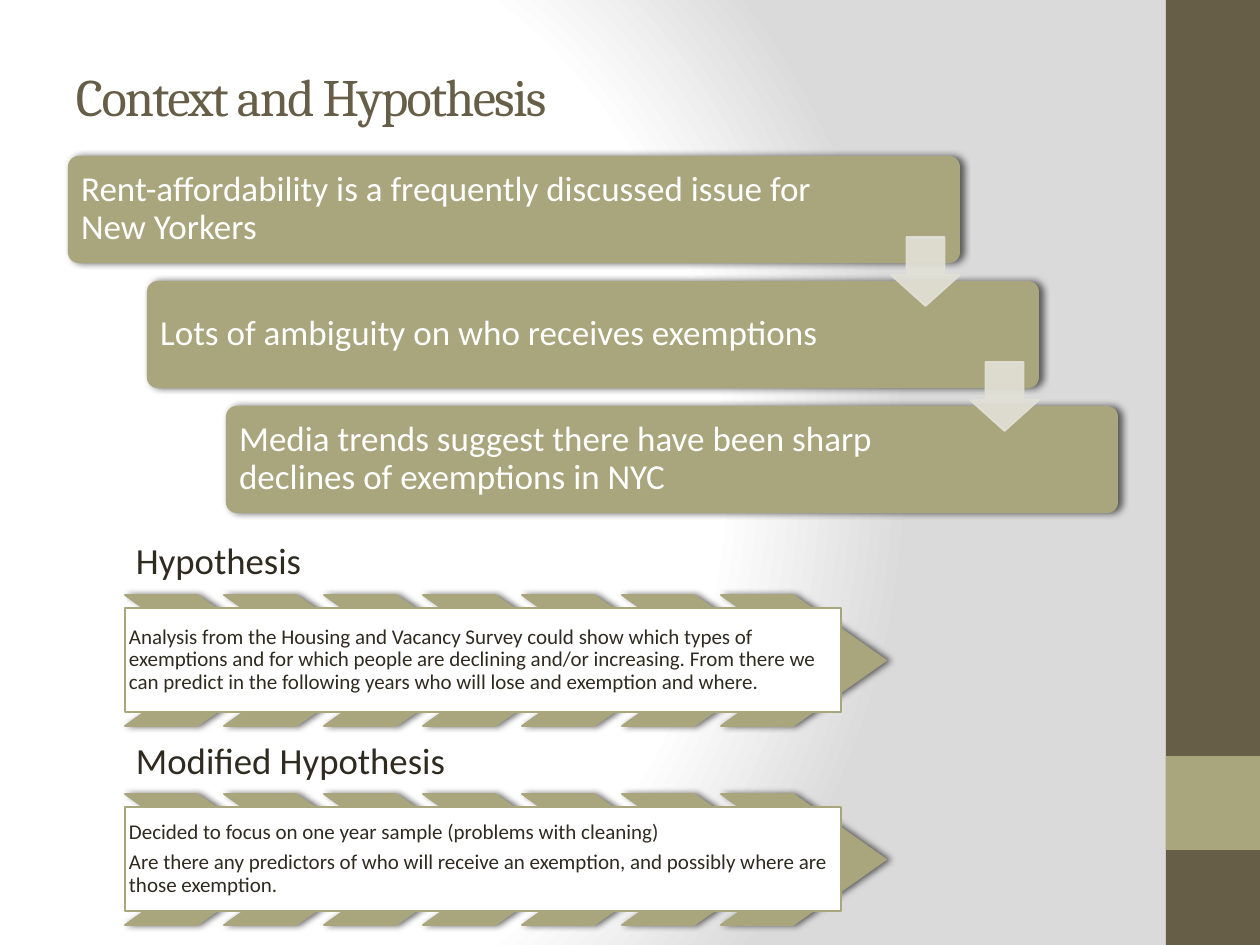
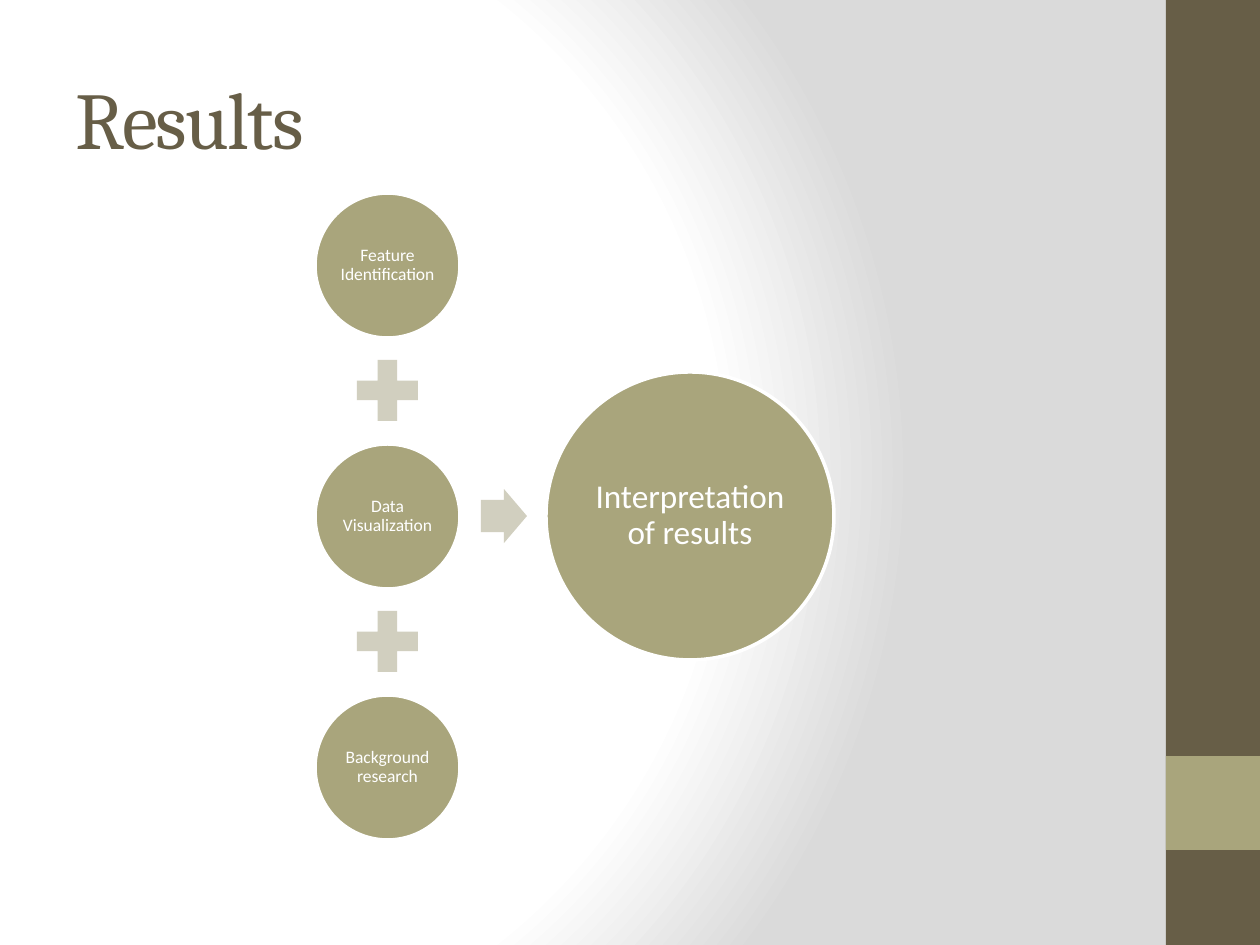
import pptx
import pptx.util
from pptx.dml.color import RGBColor
from pptx.enum.shapes import MSO_SHAPE
from pptx.enum.text import MSO_ANCHOR, PP_ALIGN
from pptx.oxml import parse_xml
from pptx.oxml.ns import qn
from lxml import etree

BROWN = RGBColor(0x67, 0x5E, 0x47)
OLIVE = RGBColor(0xA9, 0xA5, 0x7C)
PALE_OLIVE = RGBColor(0xE2, 0xE1, 0xD7)
GREY_OLIVE = RGBColor(0xD1, 0xCF, 0xBF)
INK = RGBColor(0x2F, 0x2B, 0x20)
WHITE = RGBColor(0xFF, 0xFF, 0xFF)
GREY = RGBColor(0xDA, 0xDA, 0xDA)
BLACK = RGBColor(0, 0, 0)
TITLE_FONT, BODY_FONT = "Cambria", "Calibri"
PX_PER_INCH = 126
WIDTH, HEIGHT = 1260, 945

CONTEXT_TITLE = "Context and Hypothesis"
CONTEXT_STEPS = [  # text, room kept free at its right
    ("Rent-affordability is a frequently discussed issue for New Yorkers", 107),
    ("Lots of ambiguity on who receives exemptions", 147),
    ("Media trends suggest there have been sharp declines of exemptions in NYC", 147),
]
HYPOTHESES = [
    ("Hypothesis", [
        "Analysis from the Housing and Vacancy Survey could show which types of "
        "exemptions and for which people are declining and/or increasing. From there "
        "we can predict in the following years who will lose and exemption and where.",
    ]),
    ("Modified Hypothesis", [
        "Decided to focus on one year sample (problems with cleaning)",
        "Are there any predictors of who will receive an exemption, and possibly "
        "where are those exemption.",
    ]),
]
RESULTS_TITLE = "Results"
RESULT_INPUTS = ["Feature Identification", "Data Visualization", "Background research"]
RESULT_OUTCOME = "Interpretation of results"


def px(length):
    return pptx.util.Emu(round(length * 914400 / PX_PER_INCH))


def write(shape, lines, size, color, font=BODY_FONT, margins=(0, 0, 0, 0),
          anchor=MSO_ANCHOR.MIDDLE, align=PP_ALIGN.LEFT, spacing=0.9):
    """Fill the shape with one paragraph per line; margins are left, top, right, bottom."""
    frame = shape.text_frame
    frame.text = "\n".join(lines)
    frame.word_wrap = True
    frame.vertical_anchor = anchor
    (frame.margin_left, frame.margin_top,
     frame.margin_right, frame.margin_bottom) = map(px, margins)
    for paragraph in frame.paragraphs:
        paragraph.alignment = align
        paragraph.line_spacing = spacing
        paragraph.space_after = pptx.util.Pt(round(size * 0.35, 1))
        for run in paragraph.runs:
            run.font.size = pptx.util.Pt(size)
            run.font.name = font
            run.font.color.rgb = color


def add_alpha(color_parent, percent):
    color = color_parent.find(".//" + qn("a:srgbClr"))
    etree.SubElement(color, qn("a:alpha"), val=str(percent * 1000))


def draw(slide, kind, box, fill, line=None, line_width=1, adjust=(), shadow=False):
    shape = slide.shapes.add_shape(kind, *map(px, box))
    for i, value in enumerate(adjust):
        shape.adjustments[i] = value
    shape.fill.solid()
    shape.fill.fore_color.rgb = fill
    if line is None:
        shape.line.fill.background()
    else:
        shape.line.color.rgb = line
        shape.line.width = pptx.util.Pt(line_width)
    shape.shadow.inherit = False
    if shadow:
        effects = shape.element.spPr.find(qn("a:effectLst"))
        outer = etree.SubElement(effects, qn("a:outerShdw"), blurRad="50800",
                                 dist="25400", dir="0", algn="ctr", rotWithShape="0")
        etree.SubElement(outer, qn("a:srgbClr"), val=str(BLACK))
        add_alpha(outer, 60)
    return shape


def set_background(master):
    master.background.fill.solid()
    solid = master.element.find(".//" + qn("p:bgPr")).find(qn("a:solidFill"))
    stops = "".join(
        f'<a:gs pos="{pos * 1000}"><a:srgbClr val="{color}"/></a:gs>'
        for pos, color in [(0, WHITE), (75, WHITE), (100, GREY)])
    solid.getparent().replace(solid, parse_xml(
        '<a:gradFill xmlns:a="http://schemas.openxmlformats.org/drawingml/2006/main" '
        f'rotWithShape="1"><a:gsLst>{stops}</a:gsLst><a:path path="circle">'
        '<a:fillToRect l="20000" t="50000" r="100000" b="50000"/></a:path></a:gradFill>'))


def add_slide(prs, title, size, title_height):
    slide = prs.slides.add_slide(prs.slide_layouts[6])
    draw(slide, MSO_SHAPE.RECTANGLE, (1166, 0, 94, HEIGHT), BROWN)
    draw(slide, MSO_SHAPE.RECTANGLE, (1166, 756, 94, 94), OLIVE)
    heading = slide.shapes.add_textbox(*map(px, (63, 38, 1050, title_height)))
    write(heading, [title], size, BROWN, TITLE_FONT, (13, 6, 13, 6), spacing=1.0)
    heading.text_frame.paragraphs[0].space_after = pptx.util.Pt(0)
    heading.text_frame.paragraphs[0].runs[0].font._element.set("spc", "-100")
    return slide


def add_staircase(slide):
    step_x, step_y = 79, 125
    for i, (text, free) in enumerate(CONTEXT_STEPS):
        card = draw(slide, MSO_SHAPE.ROUNDED_RECTANGLE,
                    (68 + i * step_x, 156 + i * step_y, 892, 107),
                    OLIVE, adjust=[0.1], shadow=True)
        write(card, [text], 20, WHITE, margins=(10, 10, 10 + free, 10))
    for i in range(len(CONTEXT_STEPS) - 1):
        arrow = draw(slide, MSO_SHAPE.DOWN_ARROW,
                     (891 + i * step_x, 237 + i * step_y, 69, 69),
                     PALE_OLIVE, PALE_OLIVE, adjust=[0.45, 0.55])
        arrow.adjustments[0], arrow.adjustments[1] = 0.55, 0.45
        add_alpha(arrow.element.spPr.find(qn("a:solidFill")), 90)
        add_alpha(arrow.element.spPr.find(qn("a:ln")), 90)


def add_hypothesis(slide, top, heading, lines):
    left, chevrons, span = 125, 7, 596
    label = slide.shapes.add_textbox(*map(px, (left, top, 707, 64)))
    write(label, [heading], 21, INK, margins=(11,) * 4, anchor=MSO_ANCHOR.BOTTOM)
    for i in range(chevrons):
        draw(slide, MSO_SHAPE.CHEVRON,
             (left + round(i * span / (chevrons - 1)), top + 65, 165, 131),
             OLIVE, OLIVE, adjust=[0.71], shadow=True)
    panel = draw(slide, MSO_SHAPE.RECTANGLE, (left, top + 78, 716, 104), WHITE, OLIVE)
    write(panel, lines, 12, INK, margins=(4,) * 4)


def add_circle(slide, left, top, diameter, text, size, margin):
    circle = draw(slide, MSO_SHAPE.OVAL, (left, top, diameter, diameter),
                  OLIVE, WHITE, line_width=2)
    write(circle, [text], size, WHITE, margins=(margin,) * 4, align=PP_ALIGN.CENTER)


def add_equation(slide):
    step = 251
    for i, text in enumerate(RESULT_INPUTS):
        add_circle(slide, 315, 193 + i * step, 145, text, 10, 1)
        if i < len(RESULT_INPUTS) - 1:
            draw(slide, MSO_SHAPE.MATH_PLUS, (346, 349 + i * step, 83, 83), GREY_OLIVE)
    draw(slide, MSO_SHAPE.RIGHT_ARROW, (481, 489, 46, 54), GREY_OLIVE, adjust=[0.6, 0.5])
    add_circle(slide, 546, 372, 288, RESULT_OUTCOME, 19, 4)


def main():
    prs = pptx.Presentation()
    prs.slide_width, prs.slide_height = px(WIDTH), px(HEIGHT)
    set_background(prs.slide_master)

    context = add_slide(prs, CONTEXT_TITLE, 30, 116)
    add_staircase(context)
    for i, (heading, lines) in enumerate(HYPOTHESES):
        add_hypothesis(context, 530 + i * 199, heading, lines)

    results = add_slide(prs, RESULTS_TITLE, 46, 158)
    add_equation(results)
    prs.save("out.pptx")


if __name__ == "__main__":
    main()
